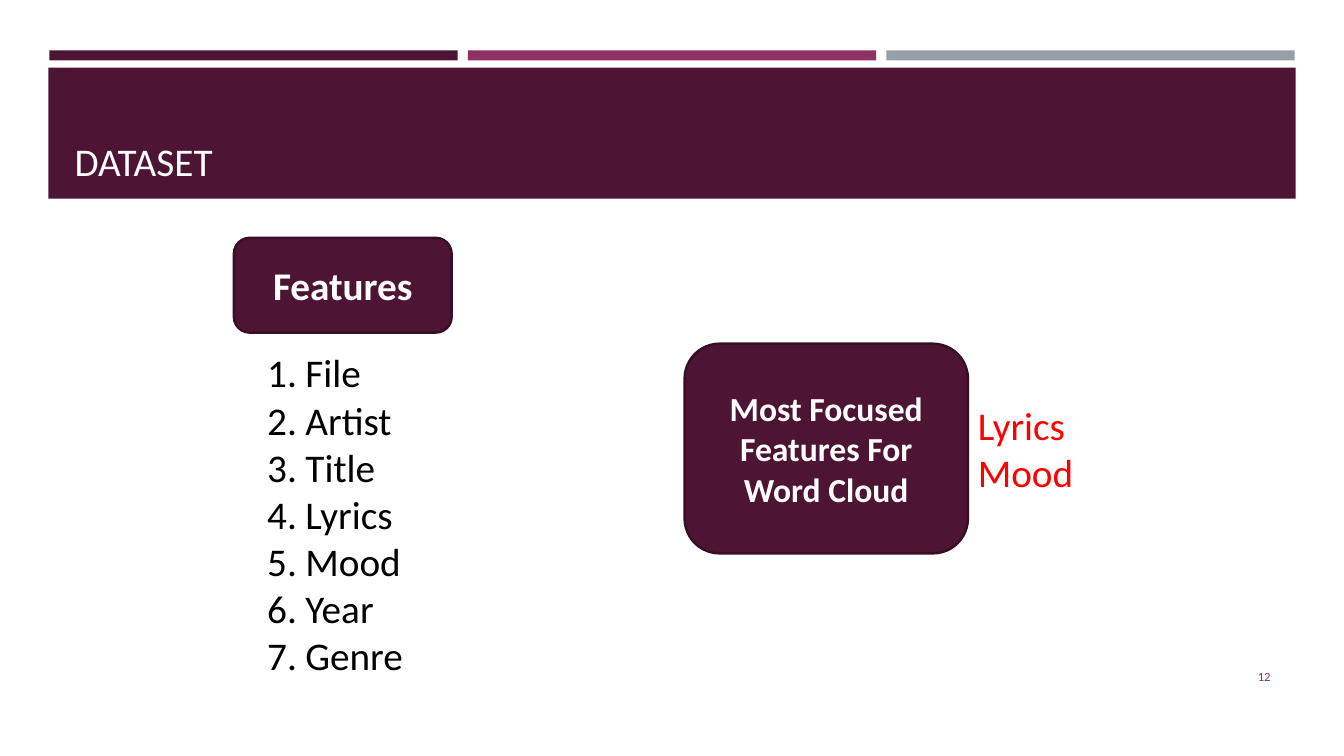
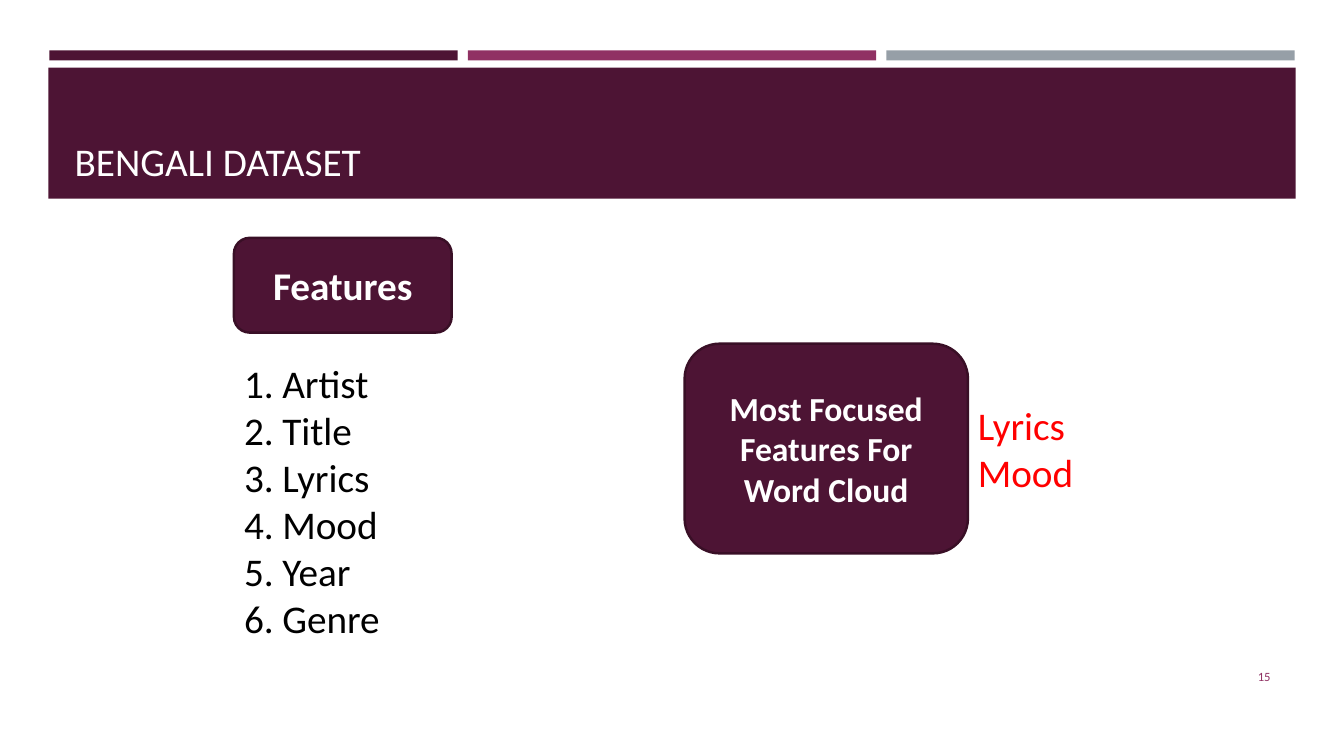
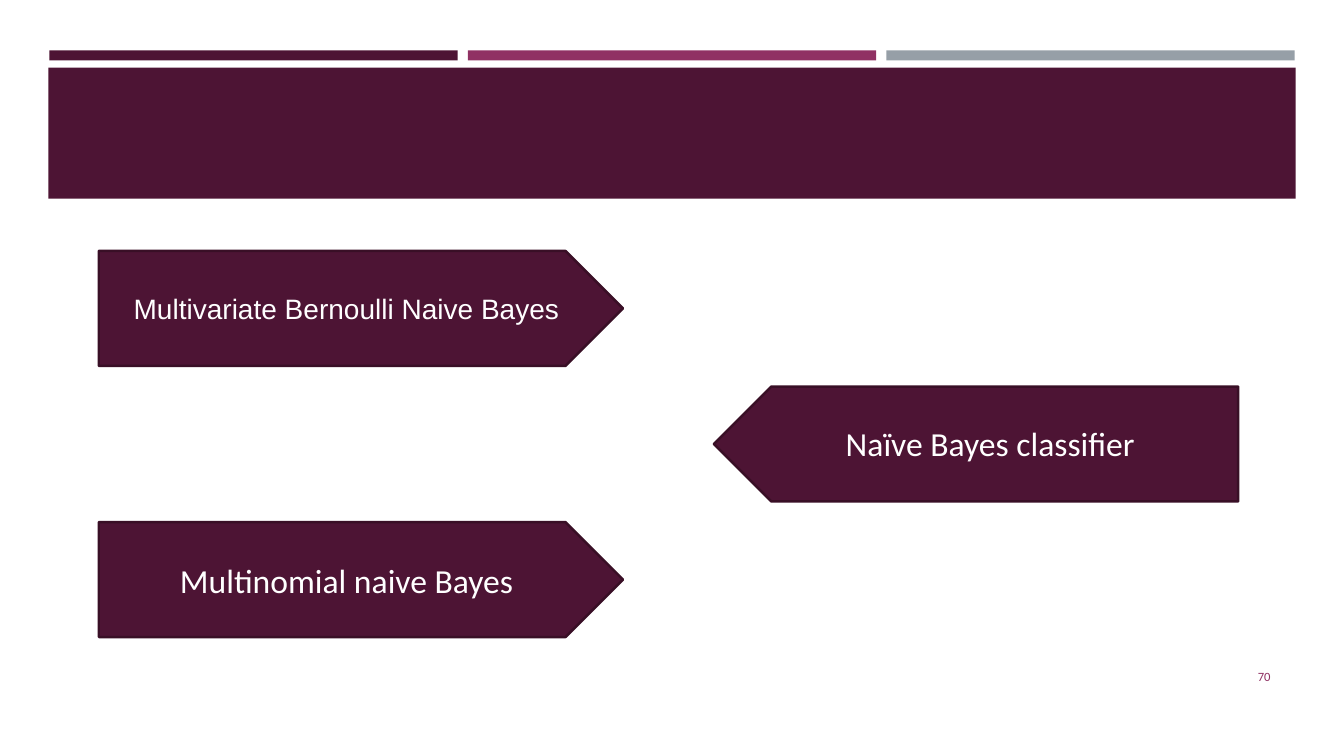
import pptx
import pptx.util
import pptx.dml.color
import pptx.enum.shapes
import pptx.enum.text
import pptx.oxml

Inches, Pt = pptx.util.Inches, pptx.util.Pt
RGB = pptx.dml.color.RGBColor
SHAPE = pptx.enum.shapes.MSO_SHAPE
ALIGN = pptx.enum.text.PP_ALIGN
ANCHOR = pptx.enum.text.MSO_ANCHOR
FIT = pptx.enum.text.MSO_AUTO_SIZE

PLUM = RGB(0x4D, 0x14, 0x34)
EDGE = RGB(0x39, 0x0F, 0x26)
ROSE = RGB(0x90, 0x31, 0x63)
GREY = RGB(0x96, 0x9F, 0xA7)
WHITE = RGB(0xFF, 0xFF, 0xFF)
BLACK = RGB(0, 0, 0)
RED = RGB(0xFF, 0, 0)

CONTENT, BLANK = 1, 6
INDENT = 0.38


def place(shape, box):
    shape.left, shape.top, shape.width, shape.height = map(Inches, box)


def write(shape, lines, size, color, align=ALIGN.LEFT, anchor=ANCHOR.TOP,
          bold=False, face="Calibri", number=False):
    frame = shape.text_frame
    frame.word_wrap = True
    frame.auto_size = FIT.NONE
    frame.vertical_anchor = anchor
    frame.text = "\n".join(lines)
    for para in frame.paragraphs:
        para.alignment = align
        para.space_before = Pt(0)
        if number:
            add_number(para)
        font = para.font
        font.name, font.size, font.bold = face, Pt(size), bold
        font.color.rgb = color


def add_number(para):
    props = para._p.get_or_add_pPr()
    props.set("marL", str(Inches(INDENT)))
    props.set("indent", str(-Inches(INDENT)))
    props.append(pptx.oxml.parse_xml(
        '<a:buAutoNum xmlns:a="http://schemas.openxmlformats.org/'
        'drawingml/2006/main" type="arabicPeriod"/>'))


def add_text(slide, box, lines, size, color, **style):
    label = slide.shapes.add_textbox(*map(Inches, box))
    write(label, lines, size, color, **style)


def add_block(slide, kind, box, fill, edge=None):
    block = slide.shapes.add_shape(kind, *map(Inches, box))
    block.shadow.inherit = False
    block.fill.solid()
    block.fill.fore_color.rgb = fill
    if edge is None:
        block.line.fill.background()
    else:
        block.line.color.rgb = edge
        block.line.width = Pt(1.75)
    return block


def add_label(slide, kind, box, lines, size, **style):
    """Dark outlined shape with centred white text."""
    block = add_block(slide, kind, box, PLUM, EDGE)
    write(block, lines, size, WHITE, align=ALIGN.CENTER,
          anchor=ANCHOR.MIDDLE, **style)


def set_master(deck, slide):
    """Draw the bars and title band, then move them to the master."""
    bands = [((0.49 + 4.15 * i, 0.5, 4.05, 0.1), color)
             for i, color in enumerate((PLUM, ROSE, GREY))]
    bands.append(((0.48, 0.67, 12.37, 1.3), PLUM))
    tree = deck.slide_master.shapes.element
    for i, (box, color) in enumerate(bands):
        band = add_block(slide, SHAPE.RECTANGLE, box, color)
        band.element.nvSpPr.cNvPr.set("id", str(20 + i))
        tree.insert(2 + i, band.element)


def add_page(slide, number):
    add_text(slide, (11.55, 6.51, 1.15, 0.4), [number], 9, ROSE,
             align=ALIGN.RIGHT, anchor=ANCHOR.MIDDLE)


def add_focus(slide, box):
    left, top, width, height = box
    add_label(slide, SHAPE.ROUNDED_RECTANGLE, box,
              ["Most Focused", "Features For", "Word Cloud"], 24, bold=True)
    add_text(slide, (left + width, top + height / 4, 2.28, height / 2),
             ["Lyrics", "Mood"], 28, RED)


def add_dataset(deck, title, items, left, top, page):
    slide = deck.slides.add_slide(deck.slide_layouts[CONTENT])
    head, body = slide.placeholders
    place(head, (0.64, 0.77, 12.06, 1.11))
    write(head, [title], 28, WHITE, anchor=ANCHOR.BOTTOM)
    place(body, (left, top, 3.31, 0.1 + 0.47 * len(items)))
    write(body, items, 28, BLACK, number=True)
    add_label(slide, SHAPE.ROUNDED_RECTANGLE, (2.32, 2.36, 2.16, 0.94),
              ["Features"], 28, bold=True)
    add_focus(slide, (6.79, 3.41, 2.81, 2.08))
    add_page(slide, page)
    return slide


def add_models(deck, page):
    slide = deck.slides.add_slide(deck.slide_layouts[BLANK])
    width, height, top, step = 5.2, 1.14, 2.49, 1.345
    add_label(slide, SHAPE.PENTAGON, (0.98, top, width, height),
              ["Multivariate Bernoulli Naive Bayes"], 20, face="Arial")
    add_label(slide, SHAPE.PENTAGON, (0.98, top + 2 * step, width, height),
              ["Multinomial naive Bayes"], 24)
    arrow = add_block(slide, SHAPE.PENTAGON,
                      (7.08, top + step, width, height), PLUM, EDGE)
    arrow.rotation = 180
    add_text(slide, (8.29, 4.15, 3.4, 0.5), ["Naïve Bayes classifier"],
             24, WHITE)
    add_page(slide, page)


def main():
    deck = pptx.Presentation()
    deck.slide_width, deck.slide_height = Inches(13.33), Inches(7.5)
    items = ["Artist", "Title", "Lyrics", "Mood", "Year", "Genre"]
    first = add_dataset(deck, "DATASET", ["File"] + items, 2.55, 3.41, "12")
    set_master(deck, first)
    add_dataset(deck, "BENGALI DATASET", items, 2.32, 3.51, "15")
    add_models(deck, "70")
    deck.save("out.pptx")


if __name__ == "__main__":
    main()
